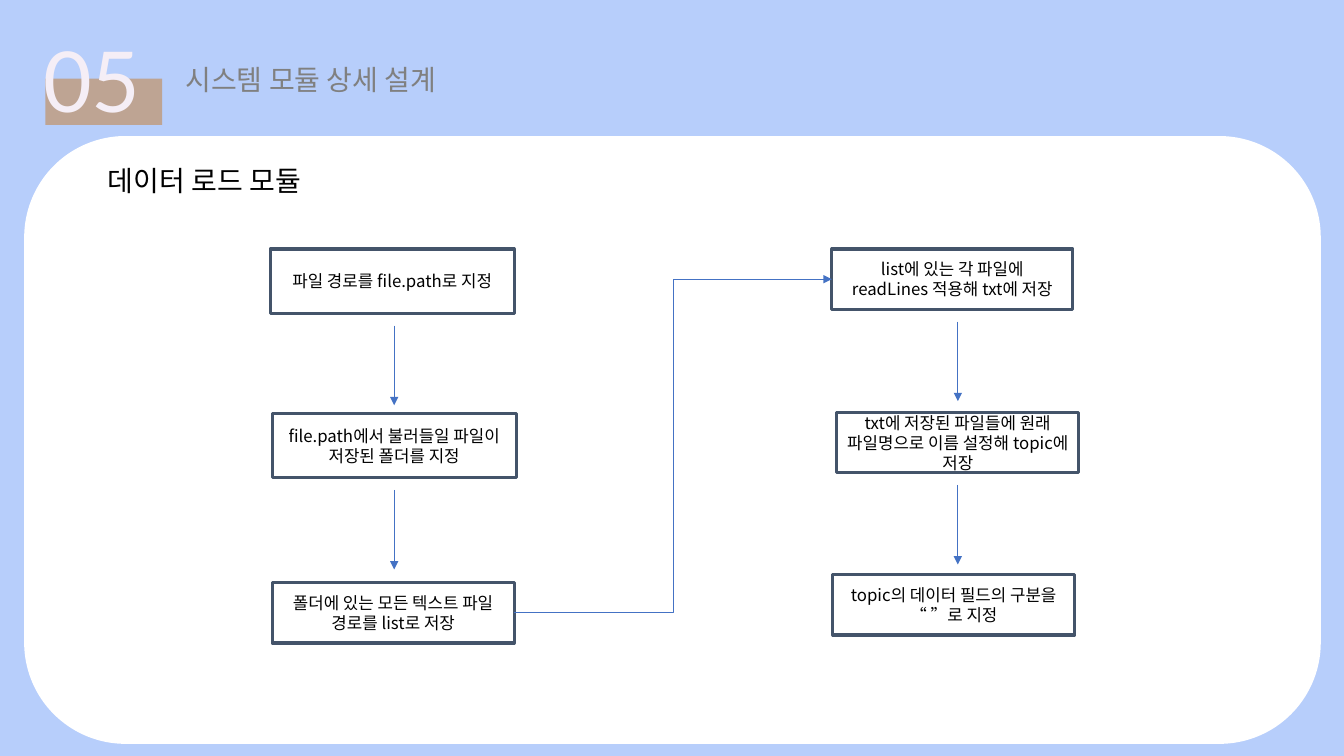
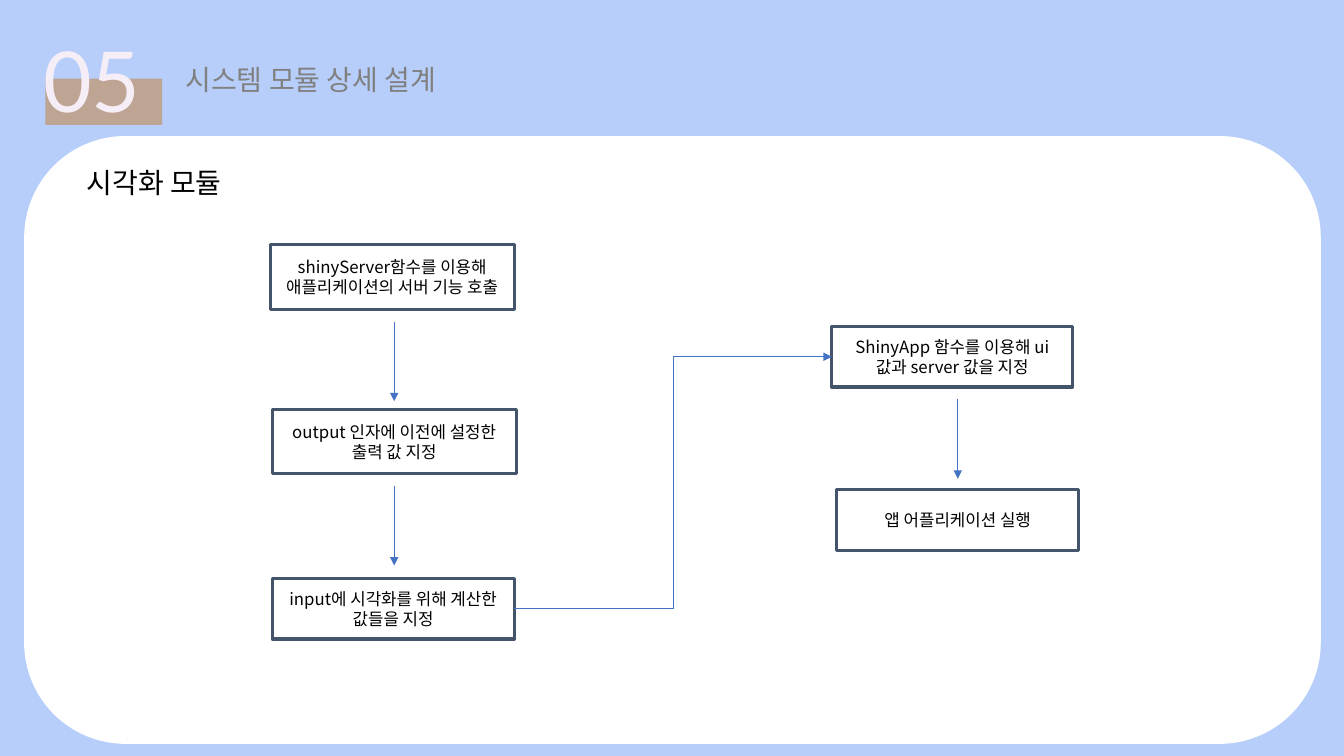
import pptx
import pptx.dml.color
import pptx.enum.shapes
import pptx.enum.text
import pptx.oxml.ns
import pptx.util
from dataclasses import dataclass
from lxml import etree

Inches = pptx.util.Inches
SHAPE = pptx.enum.shapes.MSO_SHAPE
CONNECTOR = pptx.enum.shapes.MSO_CONNECTOR
ALIGN = pptx.enum.text.PP_ALIGN
qn = pptx.oxml.ns.qn


@dataclass(frozen=True)
class Theme:
    back: str = "B7CEFB"
    band: str = "BEA493"
    number: str = "F5EEF6"
    heading: str = "808080"
    panel: str = "FFFFFF"
    ink: str = "000000"
    border: str = "44546A"
    arrow: str = "4472C4"
    latin: str = "Lato"
    korean: str = "Noto Sans CJK KR"
    number_size: int = 60
    title_size: int = 20
    step_size: int = 12
    border_width: float = 2.25
    arrow_width: float = 0.5


T = Theme()


def rgb(value):
    return pptx.dml.color.RGBColor.from_string(value)


def write(tf, text, size, color, font, align=None):
    tf.word_wrap = True
    p = tf.paragraphs[0]
    p.text = text
    p.alignment = align
    p.font.size = pptx.util.Pt(size)
    p.font.color.rgb = rgb(color)
    p.font.name = font
    # East Asian glyphs take the Korean face
    props = p._p.pPr.find(qn("a:defRPr"))
    etree.SubElement(props, qn("a:ea")).set("typeface", T.korean)


def add_text(s, left, top, width, height, *style):
    sp = s.shapes.add_textbox(Inches(left), Inches(top), Inches(width), Inches(height))
    write(sp.text_frame, *style)
    sp.text_frame.auto_size = pptx.enum.text.MSO_AUTO_SIZE.SHAPE_TO_FIT_TEXT


def add_box(s, kind, left, top, width, height, fill=None, line=None):
    sp = s.shapes.add_shape(kind, Inches(left), Inches(top), Inches(width), Inches(height))
    sp.shadow.inherit = False
    if fill:
        sp.fill.solid()
        sp.fill.fore_color.rgb = rgb(fill)
    else:
        sp.fill.background()
    if line:
        sp.line.color.rgb = rgb(line)
        sp.line.width = pptx.util.Pt(T.border_width)
    else:
        sp.line.fill.background()
    return sp


def add_arrow(s, kind, x1, y1, x2, y2):
    line = s.shapes.add_connector(kind, Inches(x1), Inches(y1), Inches(x2), Inches(y2))
    line.line.color.rgb = rgb(T.arrow)
    line.line.width = pptx.util.Pt(T.arrow_width)
    props = line._element.spPr
    etree.SubElement(props.find(qn("a:ln")), qn("a:tailEnd")).set("type", "triangle")
    etree.SubElement(props, qn("a:effectLst"))
    return line


def add_header(s, left, top):
    """Section number over its band, with the section name beside it."""
    add_box(s, SHAPE.RECTANGLE, left + 0.12, top + 0.55, 1.16, 0.46, fill=T.band)
    add_text(s, left, top, 1.28, 1.11, "05", T.number_size, T.number, T.latin)
    add_text(s, left + 1.41, top + 0.34, 3.11, 0.44,
             "시스템 모듈 상세 설계", T.title_size, T.heading, T.latin)


# Steps of a column: offset from its left and top, then width and height
LEFT_STEPS = [(0, 0, 2.42, 0.64), (0.02, 1.63, 2.42, 0.64), (0.02, 3.31, 2.4, 0.6)]
RIGHT_STEPS = [(0, 0, 2.39, 0.6), (0.05, 1.62, 2.4, 0.6), (0.01, 3.23, 2.4, 0.6)]
ARROW_GAP, ARROW_LENGTH = 0.12, 0.79


def add_column(s, left, top, axis, steps, texts):
    """Stack of steps, with an arrow on the axis below all but the last."""
    boxes = []
    for i, ((dx, dy, width, height), text) in enumerate(zip(steps, texts)):
        sp = add_box(s, SHAPE.RECTANGLE, left + dx, top + dy, width, height, line=T.border)
        write(sp.text_frame, text, T.step_size, T.ink, T.korean, ALIGN.CENTER)
        boxes.append(sp)
        if i < len(texts) - 1:
            start = top + dy + height + ARROW_GAP
            add_arrow(s, CONNECTOR.STRAIGHT, left + axis, start,
                      left + axis, start + ARROW_LENGTH)
    return boxes


def add_flow(s, left, left_top, right_top, left_texts, right_texts):
    """Two columns; the last step on the left leads to the first on the right."""
    first = add_column(s, left, left_top, 1.23, LEFT_STEPS, left_texts)
    second = add_column(s, left + 5.57, right_top, 1.25, RIGHT_STEPS, right_texts)
    link = add_arrow(s, CONNECTOR.ELBOW, left + 2.42, left_top + 3.61,
                     left + 5.57, right_top + 0.3)
    link.begin_connect(first[-1], 3)
    link.end_connect(second[0], 1)


def add_module_slide(prs, title, title_left, title_top, *flow):
    s = prs.slides.add_slide(prs.slide_layouts[6])
    s.background.fill.solid()
    s.background.fill.fore_color.rgb = rgb(T.back)
    add_header(s, 0.33, 0.23)
    add_box(s, SHAPE.ROUNDED_RECTANGLE, 0.24, 1.35, 12.86, 6.03, fill=T.panel)
    add_flow(s, 2.68, *flow)
    add_text(s, title_left, title_top, 3, 0.44, title, T.title_size, T.ink, T.korean)


def main():
    prs = pptx.Presentation()
    prs.slide_width, prs.slide_height = Inches(13.33), Inches(7.5)

    # Data loading
    add_module_slide(
        prs, "데이터 로드 모듈", 0.97, 1.57, 2.47, 2.47,
        ["파일 경로를 file.path로 지정",
         "file.path에서 불러들일 파일이 저장된 폴더를 지정",
         "폴더에 있는 모든 텍스트 파일 경로를 list로 저장"],
        ["list에 있는 각 파일에 readLines 적용해 txt에 저장",
         "txt에 저장된 파일들에 원래 파일명으로 이름 설정해 topic에 저장",
         "topic의 데이터 필드의 구분을 “ ”로 지정"])

    # Visualisation
    add_module_slide(
        prs, "시각화 모듈", 0.76, 1.59, 2.43, 3.24,
        ["shinyServer함수를 이용해 애플리케이션의 서버 기능 호출",
         "output 인자에 이전에 설정한 출력 값 지정",
         "input에 시각화를 위해 계산한 값들을 지정"],
        ["ShinyApp 함수를 이용해 ui 값과 server 값을 지정",
         "앱 어플리케이션 실행"])

    prs.save("out.pptx")


if __name__ == "__main__":
    main()
